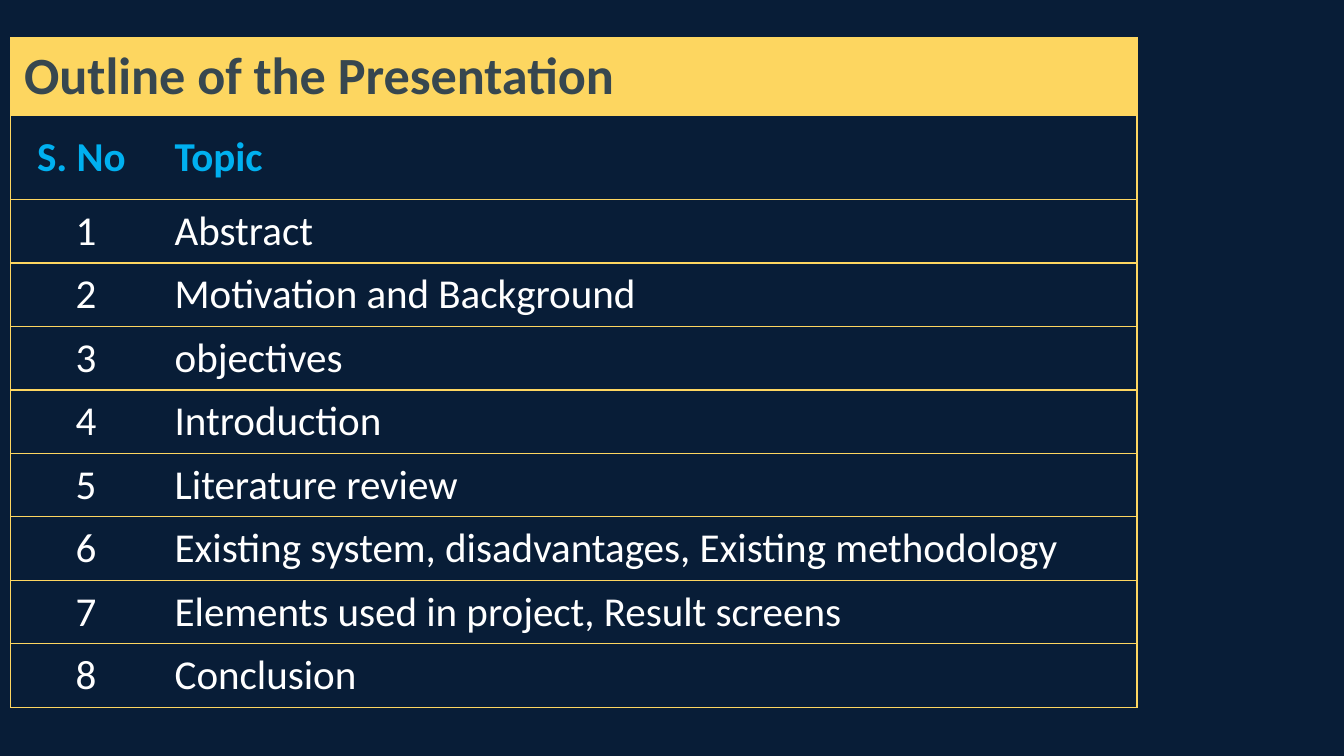
import pptx
import pptx.dml.color
import pptx.enum.text
import pptx.oxml.ns
import pptx.util
from lxml import etree
from pptx.util import Inches

TITLE = "Outline of the Presentation"
HEADINGS = ("S. No ", "Topic")
TOPICS = [
    "Abstract",
    "Motivation and Background",
    "objectives",
    "Introduction",
    "Literature review",
    "Existing system, disadvantages, Existing methodology",
    "Elements used in project, Result screens",
    "Conclusion",
]

COLORS = {
    "background": "081D37",
    "gold": "FDD660",
    "title": "37474F",
    "heading": "00B0F0",
    "topic": "FFFFFF",
}
FORMATS = {
    "title": {"size": pptx.util.Pt(28), "bold": True},
    "heading": {"size": pptx.util.Pt(22), "bold": True},
    "topic": {"size": pptx.util.Pt(22), "bold": False},
}
COLUMN_WIDTHS = (1.12, 7.26)
ROW_HEIGHTS = [0.54, 0.63] + [0.46] * len(TOPICS)
LEFT, TOP = 0.08, 0.28
BORDER_WIDTH = pptx.util.Pt(0.75)


def rgb(name):
    return pptx.dml.color.RGBColor.from_string(COLORS[name])


def set_borders(cell, visible_sides):
    """Draw gold lines on the given sides and none on the others."""
    qn = pptx.oxml.ns.qn
    properties = cell._tc.get_or_add_tcPr()
    for side in "LRTB":
        line = etree.SubElement(properties, qn(f"a:ln{side}"), w=str(BORDER_WIDTH))
        if side in visible_sides:
            fill = etree.SubElement(line, qn("a:solidFill"))
            etree.SubElement(fill, qn("a:srgbClr"), val=COLORS["gold"])
        else:
            etree.SubElement(line, qn("a:noFill"))


def write_cell(cell, text, role, centered):
    cell.text = text
    if role != "title":
        cell.vertical_anchor = pptx.enum.text.MSO_ANCHOR.MIDDLE
    paragraph = cell.text_frame.paragraphs[0]
    align = pptx.enum.text.PP_ALIGN
    paragraph.alignment = align.CENTER if centered else align.LEFT
    font = paragraph.runs[0].font
    for attribute, value in {"name": "Calibri", **FORMATS[role]}.items():
        setattr(font, attribute, value)
    font.color.rgb = rgb(role)


# Slide in 16:9
presentation = pptx.Presentation()
presentation.slide_width = Inches(10)
presentation.slide_height = Inches(10) * 9 // 16
slide = presentation.slides.add_slide(presentation.slide_layouts[6])
slide.background.fill.solid()
slide.background.fill.fore_color.rgb = rgb("background")

# Outline table
outline = slide.shapes.add_table(
    len(ROW_HEIGHTS), len(COLUMN_WIDTHS), Inches(LEFT), Inches(TOP),
    Inches(sum(COLUMN_WIDTHS)), Inches(sum(ROW_HEIGHTS)),
).table
outline.first_row = outline.horz_banding = False
for column, width in zip(outline.columns, COLUMN_WIDTHS):
    column.width = Inches(width)
for row, height in zip(outline.rows, ROW_HEIGHTS):
    row.height = Inches(height)

# Title row across both columns
title_cell = outline.cell(0, 0)
title_cell.merge(outline.cell(0, 1))
for cell in outline.rows[0].cells:
    set_borders(cell, "LRTB")
    cell.fill.solid()
    cell.fill.fore_color.rgb = rgb("gold")
write_cell(title_cell, TITLE, "title", centered=False)

# Headings and numbered topics
entries = [(*HEADINGS, "heading")]
entries += [(str(number), topic, "topic") for number, topic in enumerate(TOPICS, 1)]
for row_index, (number, topic, role) in enumerate(entries, 1):
    for column_index, (text, sides) in enumerate([(number, "LTB"), (topic, "RTB")]):
        cell = outline.cell(row_index, column_index)
        set_borders(cell, sides)
        cell.fill.background()
        write_cell(cell, text, role, centered=column_index == 0)

presentation.save("out.pptx")
